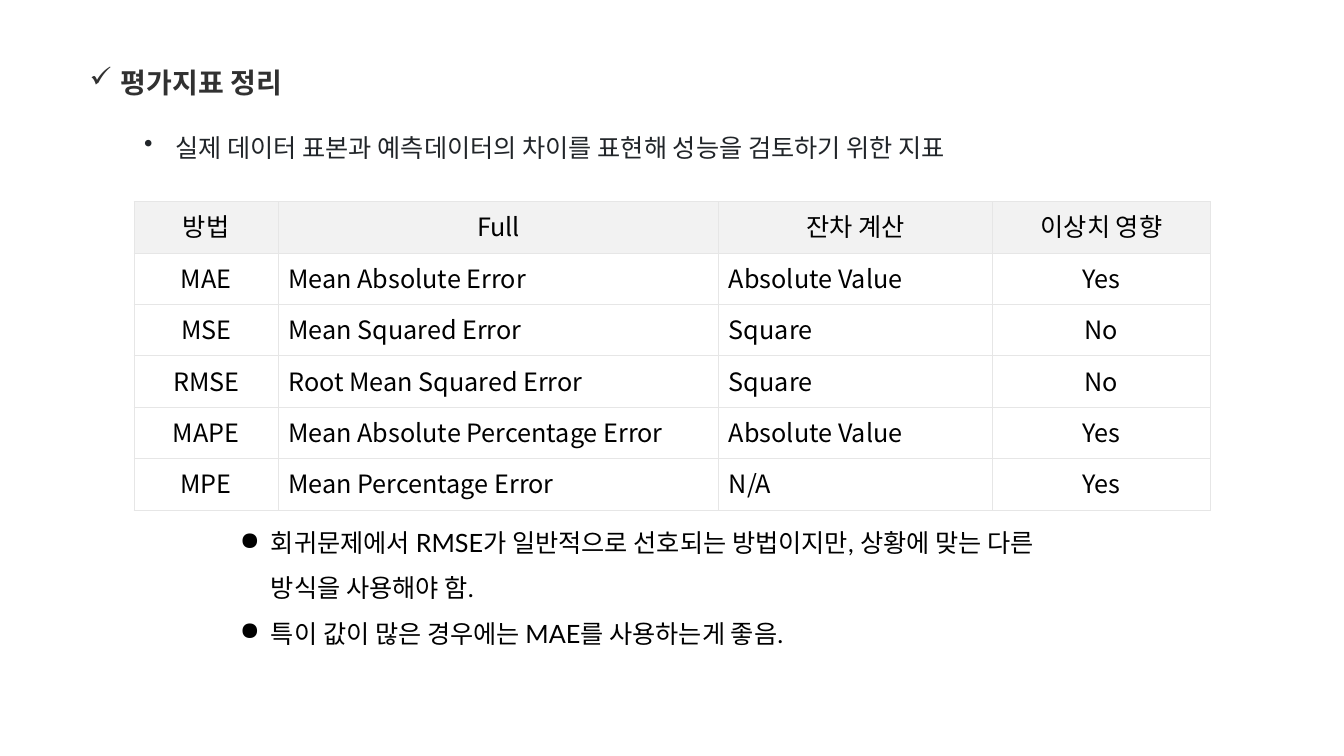
from lxml import etree
from pptx import Presentation
from pptx.dml.color import RGBColor
from pptx.enum.text import MSO_ANCHOR, MSO_AUTO_SIZE, PP_ALIGN
from pptx.oxml.ns import qn
from pptx.util import Inches, Pt

BLACK = RGBColor(0x00, 0x00, 0x00)
HEADING_GRAY = RGBColor(0x31, 0x31, 0x31)
SUMMARY_GRAY = RGBColor(0x21, 0x25, 0x29)
HEADER_FILL = RGBColor(0xF2, 0xF2, 0xF2)
BORDER_GRAY = RGBColor(0xE6, 0xE6, 0xE6)
CENTER, LEFT = PP_ALIGN.CENTER, PP_ALIGN.LEFT
MIDDLE = MSO_ANCHOR.MIDDLE
FIT_SHAPE = MSO_AUTO_SIZE.SHAPE_TO_FIT_TEXT

TABLE_FONT = "Noto Sans CJK KR"
COLUMN_WIDTHS = [1.43, 4.37, 2.71, 2.17]
COLUMN_ALIGNS = [CENTER, LEFT, LEFT, CENTER]
ROW_HEIGHT = 0.51
METRICS = [
    ["방법", "Full", "잔차 계산", "이상치 영향"],
    ["MAE", "Mean Absolute Error", "Absolute Value", "Yes"],
    ["MSE", "Mean Squared Error", "Square", "No"],
    ["RMSE", "Root Mean Squared Error", "Square", "No"],
    ["MAPE", "Mean Absolute Percentage Error", "Absolute Value", "Yes"],
    ["MPE", "Mean Percentage Error", "N/A", "Yes"],
]
NOTES = [
    "회귀문제에서 RMSE가 일반적으로 선호되는 방법이지만, 상황에 맞는 다른 방식을 사용해야 함.",
    "특이 값이 많은 경우에는 MAE를 사용하는게 좋음.",
]


def style_runs(paragraph, font_name, size, color, bold=False):
    for run in paragraph.runs:
        run.font.name = font_name
        run.font.size = Pt(size)
        run.font.color.rgb = color
        run.font.bold = bold


def add_bullet(paragraph, symbol):
    properties = paragraph._p.get_or_add_pPr()
    properties.set("marL", str(Inches(0.31)))
    properties.set("indent", str(-Inches(0.31)))
    etree.SubElement(properties, qn("a:buChar"), char=symbol)


def add_bullet_list(slide, box, lines, symbol, font_name, size, color,
                    bold=False, wrap=True, spacing=None):
    """Place a bulleted list in box (left, top, width, height)."""
    frame = slide.shapes.add_textbox(*map(Inches, box)).text_frame
    frame.word_wrap = wrap
    frame.auto_size = FIT_SHAPE
    frame.text = "\n".join(lines)
    for paragraph in frame.paragraphs:
        add_bullet(paragraph, symbol)
        paragraph.line_spacing = spacing
        style_runs(paragraph, font_name, size, color, bold)


def set_borders(cell):
    properties = cell._tc.get_or_add_tcPr()
    for position, side in enumerate(("a:lnL", "a:lnR", "a:lnT", "a:lnB")):
        line = etree.Element(qn(side), w=str(Pt(0.6)))
        fill = etree.SubElement(line, qn("a:solidFill"))
        etree.SubElement(fill, qn("a:srgbClr"), val=str(BORDER_GRAY))
        properties.insert(position, line)


def fill_cell(cell, text, is_header, align):
    cell.text = text
    cell.vertical_anchor = MIDDLE
    cell.margin_left = cell.margin_right = Inches(0.1)
    cell.margin_top, cell.margin_bottom = Inches(0.06), Inches(0.09)
    if is_header:
        cell.fill.solid()
        cell.fill.fore_color.rgb = HEADER_FILL
    else:
        cell.fill.background()
    set_borders(cell)
    paragraph = cell.text_frame.paragraphs[0]
    paragraph.alignment = CENTER if is_header else align
    style_runs(paragraph, TABLE_FONT, 18, BLACK)


def add_metrics_table(slide, left, top):
    table = slide.shapes.add_table(
        len(METRICS), len(COLUMN_WIDTHS), Inches(left), Inches(top),
        Inches(sum(COLUMN_WIDTHS)), Inches(ROW_HEIGHT * len(METRICS))).table
    table.first_row = table.horz_banding = False
    for column, width in zip(table.columns, COLUMN_WIDTHS):
        column.width = Inches(width)
    for row_index, (row, values) in enumerate(zip(table.rows, METRICS)):
        row.height = Inches(ROW_HEIGHT)
        for cell, value, align in zip(row.cells, values, COLUMN_ALIGNS):
            fill_cell(cell, value, row_index == 0, align)


def build_metrics_slide(presentation):
    slide = presentation.slides.add_slide(presentation.slide_layouts[6])
    # Heading and summary
    add_bullet_list(slide, (0.79, 0.6, 2.28, 0.44), ["평가지표 정리"], "✓",
                    "Lato", 20, HEADING_GRAY, bold=True, wrap=False)
    add_bullet_list(
        slide, (1.33, 1.26, 10.38, 0.4),
        ["실제 데이터 표본과 예측데이터의 차이를 표현해 성능을 검토하기 위한 지표"],
        "•", "Calibri", 18, SUMMARY_GRAY)
    # Comparison of metrics
    add_metrics_table(slide, 1.33, 2)
    # Advice on choosing a metric
    add_bullet_list(slide, (2.28, 5.03, 8.77, 1.41), NOTES, "●",
                    "Lato", 18, BLACK, spacing=1.5)


def main():
    presentation = Presentation()
    presentation.slide_width = Inches(13.33)
    presentation.slide_height = Inches(7.5)
    build_metrics_slide(presentation)
    presentation.save("out.pptx")


if __name__ == "__main__":
    main()
